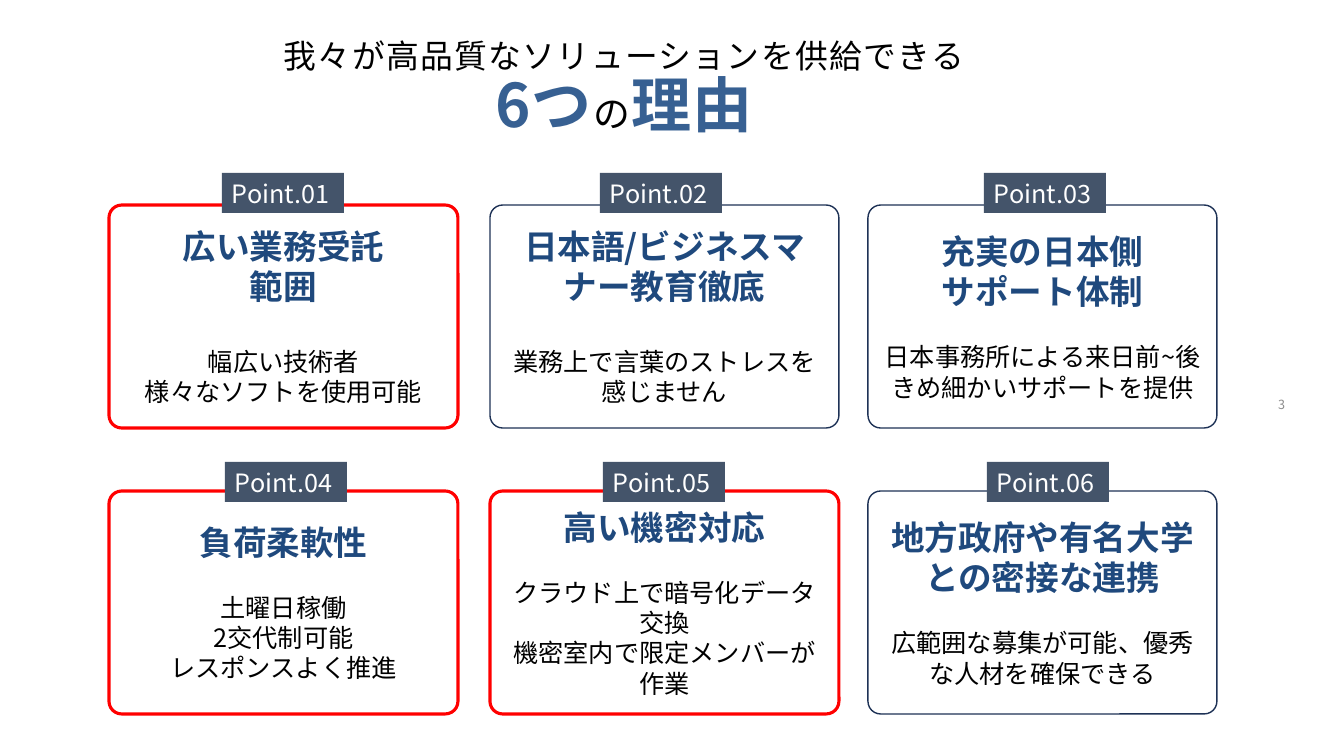
from lxml.etree import SubElement
from pptx import Presentation
from pptx.dml.color import RGBColor
from pptx.enum.shapes import MSO_SHAPE as Form
from pptx.enum.text import MSO_ANCHOR as Anchor, MSO_AUTO_SIZE as Fit, PP_ALIGN as Align
from pptx.oxml.ns import qn
from pptx.util import Emu, Pt

SCALE = 914400 / 100.8
FONT = "Noto Sans CJK JP"
NAVY, RED, BLUE, SLATE = "1E3256", "FF0000", "1F497D", "44546A"
COLS, ROWS = (109, 490, 868), (205, 491)
TAGS, TOPS = (222, 600, 984), (173, 462)
CARDS = [
    (RED, 28.5, ["広い業務受託", "範囲"], ["幅広い技術者", "様々なソフトを使用可能"]),
    (NAVY, 28.5, ["日本語/ビジネスマナー教育徹底"], ["業務上で言葉のストレスを感じません"]),
    (NAVY, 21.5, ["充実の日本側", "サポート体制"],
     ["日本事務所による来日前~後 きめ細かいサポートを提供"]),
    (RED, 21.5, ["負荷柔軟性"], ["土曜日稼働", "2交代制可能", "レスポンスよく推進"]),
    (RED, 21.5, ["高い機密対応"],
     ["クラウド上で暗号化データ交換", "機密室内で限定メンバーが作業"]),
    (NAVY, 21.5, ["地方政府や有名大学との密接な連携"],
     ["広範囲な募集が可能、優秀な人材を確保できる"]),
]


def px(num):
    return Emu(round(num * SCALE))


def paint(hue):
    return RGBColor.from_string(hue)


def add_run(para, text, size, hue, bold=False, gap=0):
    run = para.add_run()
    run.text = text
    font = run.font
    font.size, font.bold, font.name = Pt(size), bold, FONT
    font.color.rgb = paint(hue)
    props = run._r.get_or_add_rPr()
    SubElement(props, qn("a:ea")).set("typeface", FONT)
    if gap:
        props.set("spc", str(gap))


def add_para(frame, align):
    para = frame.paragraphs[0]
    if para.runs:
        para = frame.add_paragraph()
    para.alignment = align
    return para


def add_box(slide, form, left, top, wide, high):
    box = slide.shapes.add_shape(form, px(left), px(top), px(wide), px(high))
    box.shadow.inherit = False
    return box


def add_title(slide):
    title = slide.shapes.title
    title.left, title.top, title.width, title.height = map(px, (163, -3, 922, 152))
    frame = title.text_frame
    frame.auto_size = Fit.NONE
    frame.word_wrap = True
    frame.vertical_anchor = Anchor.MIDDLE
    frame.margin_top = px(40)
    lines = [
        [("我々が高品質なソリューションを供給できる", 23.4, "000000", False)],
        [("6つ", 42.9, "376092", True), ("の", 26.3, "000000", False),
         ("理由", 42.9, "376092", True)],
    ]
    for line in lines:
        para = add_para(frame, Align.CENTER)
        para.line_spacing = 0.9
        para.space_before = Pt(0)
        for text, size, hue, bold in line:
            add_run(para, text, size, hue, bold, 100)


def add_card(slide, left, top, hue, gap, heads, notes):
    card = add_box(slide, Form.ROUNDED_RECTANGLE, left, top, 349, 223)
    card.adjustments[0] = 0.057
    card.fill.background()
    card.line.color.rgb = paint(hue)
    card.line.width = Pt(2.25 if hue == RED else 1)
    frame = card.text_frame
    frame.word_wrap = True
    frame.vertical_anchor = Anchor.MIDDLE
    for head in heads:
        add_run(add_para(frame, Align.CENTER), head, 24, BLUE, True)
    for spot, note in enumerate(notes):
        para = add_para(frame, Align.CENTER)
        if spot == 0:
            para.space_before = Pt(gap)
        add_run(para, note, 18, "000000")


def add_tag(slide, left, top, text):
    tag = add_box(slide, Form.RECTANGLE, left, top, 122, 40)
    tag.fill.solid()
    tag.fill.fore_color.rgb = paint(SLATE)
    tag.line.fill.background()
    frame = tag.text_frame
    frame.word_wrap = False
    frame.auto_size = Fit.SHAPE_TO_FIT_TEXT
    frame.vertical_anchor = Anchor.TOP
    add_run(add_para(frame, Align.LEFT), text, 18, "FFFFFF")


def add_page(slide, text):
    box = slide.shapes.add_textbox(px(982), px(385), px(313), px(40))
    frame = box.text_frame
    frame.word_wrap = True
    frame.vertical_anchor = Anchor.MIDDLE
    add_run(add_para(frame, Align.RIGHT), text, 9, "8C8C8C")


def main():
    deck = Presentation()
    deck.slide_width, deck.slide_height = px(1344), px(756)
    slide = deck.slides.add_slide(deck.slide_layouts[5])
    add_page(slide, "3")
    add_title(slide)
    for spot, card in enumerate(CARDS):
        row, col = divmod(spot, 3)
        add_card(slide, COLS[col], ROWS[row], *card)
        add_tag(slide, TAGS[col] + 3 * row, TOPS[row], f"Point.{spot + 1:02}")
    deck.save("out.pptx")


if __name__ == "__main__":
    main()
